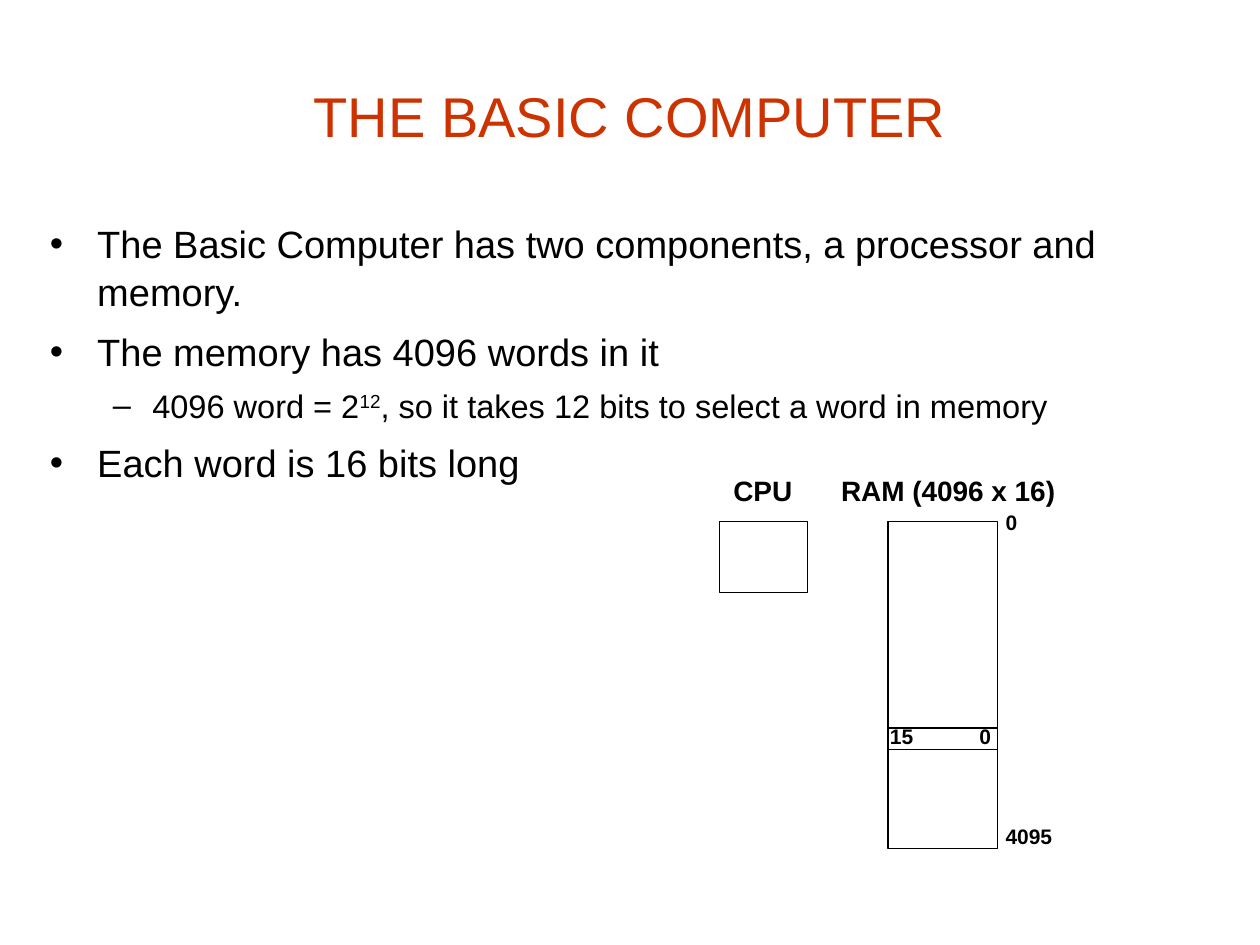
import pptx
import pptx.dml.color
import pptx.enum.shapes
import pptx.enum.text
import pptx.oxml
import pptx.oxml.ns
import pptx.util

Pt = pptx.util.Pt
RGB = pptx.dml.color.RGBColor
Align = pptx.enum.text.PP_ALIGN
Anchor = pptx.enum.text.MSO_ANCHOR
Fit = pptx.enum.text.MSO_AUTO_SIZE

BLACK = RGB(0x00, 0x00, 0x00)
RED = RGB(0xCC, 0x33, 0x00)

# Bullet levels: sign, left margin, hanging indent, space before, text size
LEVELS = [
    ("•", 27, 27, 7, 21.7),
    ("–", 58.5, 22.5, 6, 18.6),
]

# Each point is a level and its runs; a run in a tuple is raised
POINTS = [
    (0, ["The Basic Computer has two components, a processor and memory."]),
    (0, ["The memory has 4096 words in it"]),
    (1, ["4096 word = 2", ("12",),
         ", so it takes 12 bits to select a word in memory"]),
    (0, ["Each word is 16 bits long"]),
]


def style(item, form):
    for name, value in form.items():
        setattr(item, name, value)


def paint(font, size, color=BLACK, bold=False):
    style(font, {"name": "Arial", "size": Pt(size), "bold": bold})
    font.color.rgb = color


def add_text(slide, box, **form):
    frame = slide.shapes.add_textbox(*map(Pt, box)).text_frame
    style(frame, {"word_wrap": True, **form})
    return frame


def add_tag(slide, box, text, size, wrap=False):
    frame = add_text(slide, box, word_wrap=wrap,
                     auto_size=Fit.SHAPE_TO_FIT_TEXT)
    para = frame.paragraphs[0]
    style(para, {"text": text, "line_spacing": 0.9})
    paint(para.font, size, bold=True)


def add_frame(slide, box):
    kind = pptx.enum.shapes.MSO_SHAPE.RECTANGLE
    shape = slide.shapes.add_shape(kind, *map(Pt, box))
    shape.shadow.inherit = False
    shape.fill.background()
    shape.line.color.rgb = BLACK
    shape.line.width = Pt(0.75)


def add_rule(slide, left, top, width):
    kind = pptx.enum.shapes.MSO_CONNECTOR.STRAIGHT
    rule = slide.shapes.add_connector(
        kind, Pt(left), Pt(top), Pt(left + width), Pt(top))
    rule.line.color.rgb = BLACK
    rule.line.width = Pt(0.75)
    pptx.oxml.ns.qn("a:effectLst")
    props = rule.line._get_or_add_ln().getparent()
    props.append(pptx.oxml.parse_xml(
        "<a:effectLst %s/>" % pptx.oxml.ns.nsdecls("a")))


def add_mark(para, sign, margin, hang):
    props = para._p.get_or_add_pPr()
    props.set("marL", str(Pt(margin)))
    props.set("indent", str(-Pt(hang)))
    space = pptx.oxml.ns.nsdecls("a")
    for xml in (f'<a:buFont {space} typeface="Arial"/>',
                f'<a:buChar {space} char="{sign}"/>'):
        props.append(pptx.oxml.parse_xml(xml))


def draw_title(slide, box):
    frame = add_text(slide, box, vertical_anchor=Anchor.MIDDLE)
    para = frame.paragraphs[0]
    style(para, {"text": "THE BASIC COMPUTER", "alignment": Align.CENTER})
    paint(para.font, 32, RED)


def draw_points(slide, box):
    frame = add_text(slide, box)
    for i, (level, parts) in enumerate(POINTS):
        sign, margin, hang, gap, size = LEVELS[level]
        para = frame.add_paragraph() if i else frame.paragraphs[0]
        add_mark(para, sign, margin, hang)
        style(para, {"level": level, "line_spacing": 1.05,
                     "space_before": Pt(gap if i else 0)})
        paint(para.font, size)
        for part in parts:
            run = para.add_run()
            raised = isinstance(part, tuple)
            run.text = part[0] if raised else part
            paint(run.font, size)
            if raised:
                run.font._element.set("baseline", "30000")


def draw_cpu(slide, box):
    left, top, width, height = box
    add_frame(slide, box)
    add_tag(slide, (left + 1, top - 29, 48.5, 24.5), "CPU", 16)


def draw_ram(slide, box):
    left, top, width, height = box
    add_frame(slide, box)
    add_tag(slide, (left - 34, top - 29, 181, 24.5),
            "RAM (4096 x 16)", 16, True)

    # First and last address
    side = left + width - 2.5
    add_tag(slide, (side, top - 8.5, 21, 20), "0", 12)
    add_tag(slide, (side, top + height - 16.5, 41, 20), "4095", 12)

    # One word with its bit numbers
    word = top + 118
    for line in (word, word + 12.5):
        add_rule(slide, left, line, width)
    add_tag(slide, (left + width - 17.5, word - 4.5, 21, 20), "0", 12)
    add_tag(slide, (left - 6, word - 4.5, 27.5, 20), "15", 12)


def main():
    deck = pptx.Presentation()
    style(deck, {"slide_width": Pt(720), "slide_height": Pt(540)})
    slide = deck.slides.add_slide(deck.slide_layouts[6])
    draw_title(slide, (36, 33, 648, 66))
    draw_points(slide, (21.5, 121, 648, 156))
    draw_cpu(slide, (411, 298, 50.5, 40.5))
    draw_ram(slide, (507.5, 298, 62.5, 187))
    deck.save("out.pptx")


if __name__ == "__main__":
    main()
